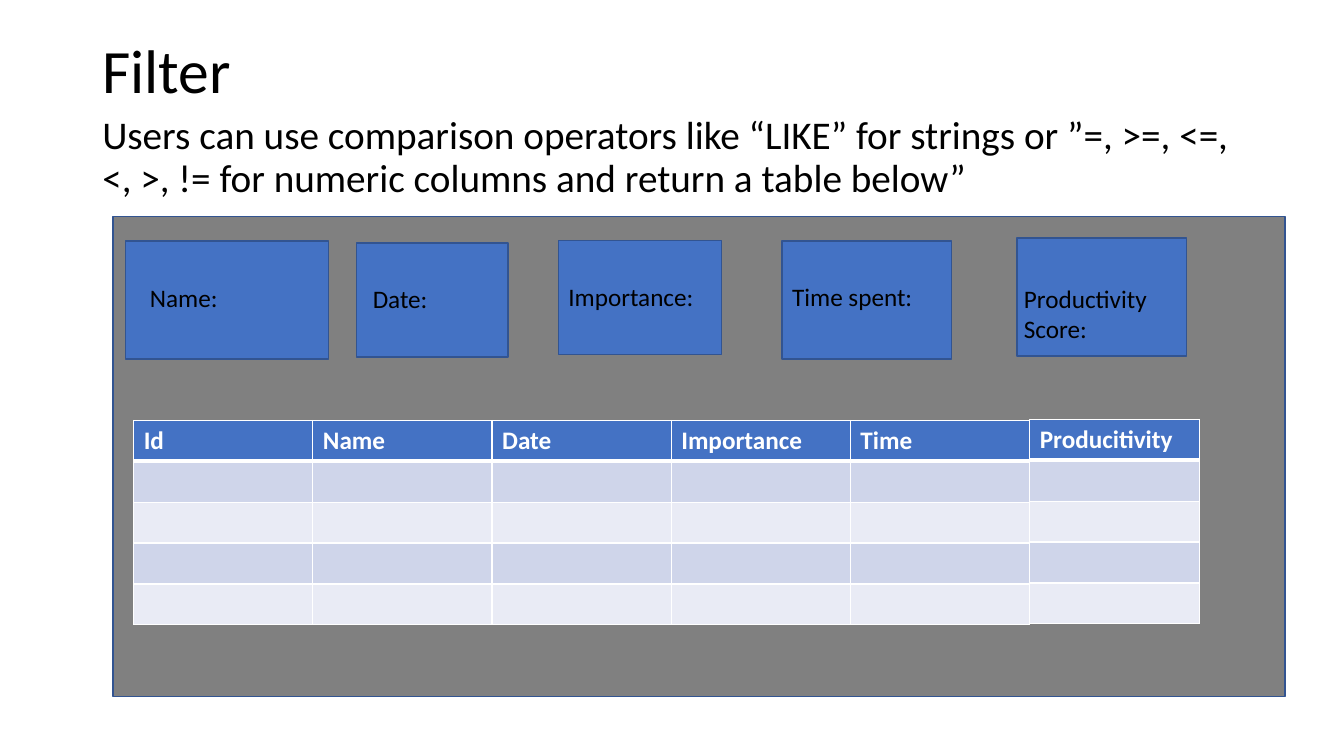
from pptx import Presentation
from pptx.dml.color import RGBColor
from pptx.enum.shapes import MSO_SHAPE as Shape
from pptx.enum.text import MSO_ANCHOR as Anchor, MSO_AUTO_SIZE as AutoSize
from pptx.oxml import parse_xml
from pptx.oxml.ns import nsdecls
from pptx.util import Pt

BLACK, WHITE, GRAY = "000000", "FFFFFF", "808080"
BLUE, DARK_BLUE = "4472C4", "325491"
BANDS = ["CFD5EA", "E9EBF5"]


def color(value):
    """Turn a hex string into a colour."""
    return RGBColor.from_string(value)


def assign(target, values):
    """Set attributes from a dict of format values."""
    for name, value in values.items():
        setattr(target, name, value)


def points(*lengths):
    """Turn numbers of points into lengths."""
    return [Pt(length) for length in lengths]


class Page:
    """The current slide and its style."""

    font = "Calibri"

    def __init__(self, deck):
        """Add a blank slide to the deck."""
        self.slide = deck.slides.add_slide(deck.slide_layouts[6])

    def span(self, para, text, size=18, tint=BLACK, bold=False):
        """Put one styled run into a paragraph."""
        span = para.add_run()
        span.text = text
        assign(span.font, {"name": self.font, "size": Pt(size), "bold": bold})
        span.font.color.rgb = color(tint)

    def text(self, place, lines, size=18, frame_format=None, para_format=None):
        """Add a wrapping text box with one paragraph per line."""
        frame = self.slide.shapes.add_textbox(*points(*place)).text_frame
        assign(frame, {"word_wrap": True, **(frame_format or {})})
        for index, line in enumerate(lines):
            para = frame.add_paragraph() if index else frame.paragraphs[0]
            assign(para, para_format or {})
            self.span(para, line, size)

    def box(self, place, fill):
        """Add an outlined rectangle."""
        box = self.slide.shapes.add_shape(Shape.RECTANGLE, *points(*place))
        box.shadow.inherit = False
        box.fill.solid()
        box.fill.fore_color.rgb = color(fill)
        box.line.color.rgb = color(DARK_BLUE)
        box.line.width = Pt(1)

    def border(self, cell, side, width):
        """Draw one white cell edge; edges must come before the fill."""
        edge = parse_xml(
            f'<a:{side} {nsdecls("a")} w="{Pt(width)}"><a:solidFill>'
            f'<a:srgbClr val="{WHITE}"/></a:solidFill></a:{side}>')
        cell._tc.get_or_add_tcPr().append(edge)

    def table(self, place, headings, row_count=5):
        """Add a table of equal columns with headings and empty banded rows."""
        table = self.slide.shapes.add_table(
            row_count, len(headings), *points(*place)).table
        for row_index, row in enumerate(table.rows):
            fill = BANDS[(row_index - 1) % 2] if row_index else BLUE
            widths = {"lnL": 1, "lnR": 1,
                      "lnT": 3 if row_index == 1 else 1,
                      "lnB": 1 if row_index else 3}
            for heading, cell in zip(headings, row.cells):
                for side, width in widths.items():
                    self.border(cell, side, width)
                cell.fill.solid()
                cell.fill.fore_color.rgb = color(fill)
                if row_index == 0:
                    self.span(cell.text_frame.paragraphs[0], heading,
                              tint=WHITE, bold=True)


deck = Presentation()
assign(deck, {"slide_width": Pt(960), "slide_height": Pt(540)})
page = Page(deck)

page.text((66, 0, 828, 104.4), ["Filter"], 44,
          {"vertical_anchor": Anchor.MIDDLE}, {"line_spacing": 0.9})
page.text((66, 79.2, 828, 68.4),
          ["Users can use comparison operators like “LIKE” for strings or ”=, "
           ">=, <=, <, >, != for numeric columns and return a table below”"],
          28, para_format={"line_spacing": 0.9, "space_before": Pt(10)})

page.box((80.64, 154.8, 837.36, 342.72), GRAY)

# Each filter: box, label position and width, label lines
filters = [
    ((89.6, 172, 145, 84.4), (100, 198, 76.3), ["Name:"]),
    ((254.8, 173.5, 108.2, 81.4), (259.2, 198.7, 76.3), ["Date:"]),
    ((398.9, 172, 116.6, 81.4), (398.9, 197.6, 113.8), ["Importance:"]),
    ((558.7, 172, 121, 84.4), (558.7, 197.6, 113.8), ["Time spent:"]),
    ((726.5, 170, 121, 84.4), (724.3, 198.5, 113.8),
     ["Productivity", "Score:"]),
]
for box_place, (left, top, width), lines in filters:
    page.box(box_place, BLUE)
    page.text((left, top, width, 7.2 + 21.9 * len(lines)), lines,
              frame_format={"auto_size": AutoSize.SHAPE_TO_FIT_TEXT})

page.table((95.5, 300.3, 640, 146), ["Id", "Name", "Date", "Importance", "Time"])
page.table((735.5, 299.6, 121.5, 146), ["Producitivity"])

deck.save("out.pptx")
